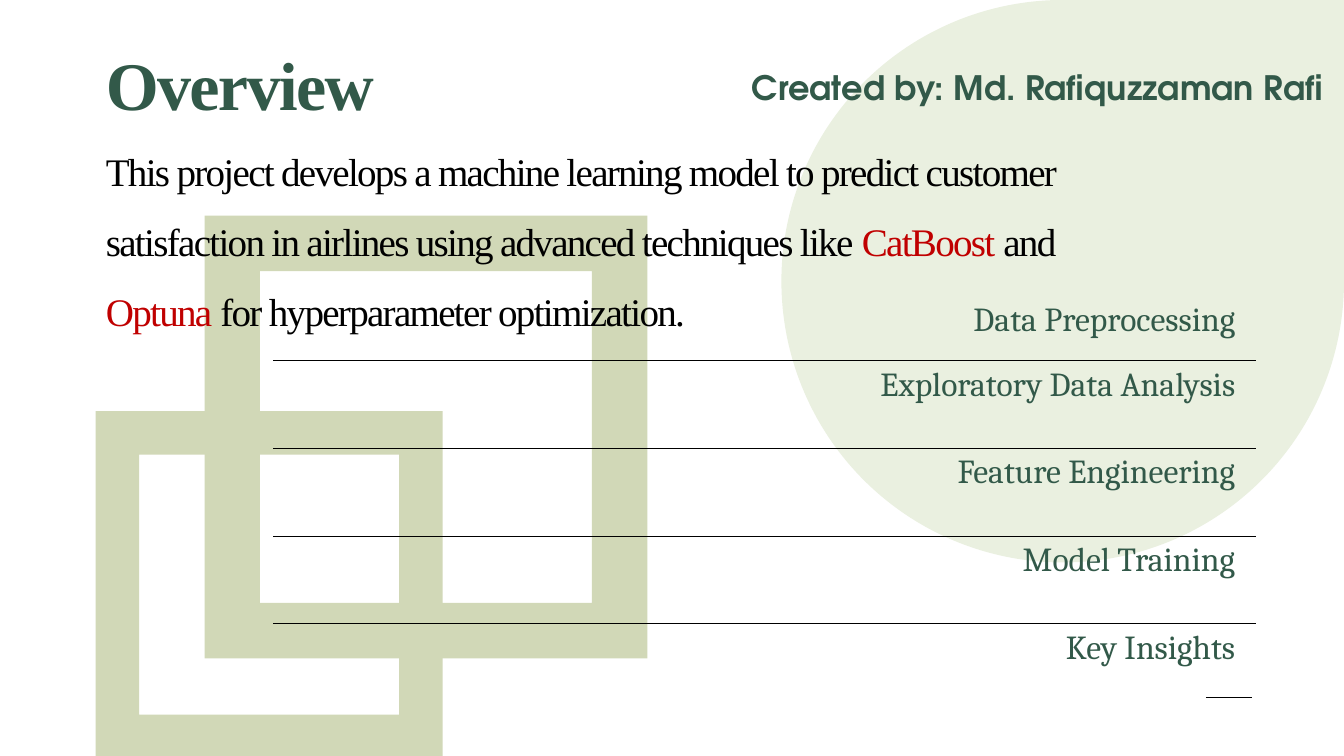
from typing import NamedTuple

from lxml.etree import SubElement
from pptx import Presentation
from pptx.dml.color import RGBColor
from pptx.enum.shapes import MSO_CONNECTOR, MSO_SHAPE
from pptx.enum.text import MSO_ANCHOR, MSO_AUTO_SIZE, PP_ALIGN
from pptx.oxml import parse_xml
from pptx.oxml.ns import nsdecls, qn
from pptx.util import Inches, Pt

GREEN = RGBColor(0x32, 0x59, 0x49)
OLIVE = RGBColor(0xD1, 0xD8, 0xB7)
PALE = RGBColor(0xEA, 0xF0, 0xE0)
RED = RGBColor(0xC0, 0x00, 0x00)
BLACK = RGBColor(0x00, 0x00, 0x00)
NO_GRID = "{2D5ABB26-0587-4C30-8999-92F81FD0307C}"


class Decor(NamedTuple):
    kind: MSO_SHAPE
    left: float
    top: float
    size: float
    color: RGBColor


class Span(NamedTuple):
    text: str
    color: RGBColor
    size: float = 27.9
    bold: bool = False


DECOR = [
    Decor(MSO_SHAPE.FRAME, 0.95, 4.08, 3.44, OLIVE),
    Decor(MSO_SHAPE.FRAME, 2.03, 2.14, 4.39, OLIVE),
    Decor(MSO_SHAPE.TEAR, 7.75, 0, 5.58, PALE),
]
HEAD = Span("Overview", GREEN, 48.6, True)
INTRO = [
    Span("This project develops a machine learning model to predict customer "
         "satisfaction in airlines using advanced techniques like ", BLACK),
    Span("CatBoost", RED),
    Span(" and ", BLACK),
    Span("Optuna", RED),
    Span(" for hyperparameter optimization.", BLACK),
]
TOPICS = ["Data Preprocessing", "Exploratory Data Analysis",
          "Feature Engineering", "Model Training", "Key Insights"]


def add_decor(slide, item: Decor) -> None:
    shape = slide.shapes.add_shape(item.kind, Inches(item.left), Inches(item.top),
                                   Inches(item.size), Inches(item.size))
    shape.shadow.inherit = False
    shape.fill.solid()
    shape.fill.fore_color.rgb = item.color
    shape.line.fill.background()


def add_rule(slide) -> None:
    rule = slide.shapes.add_connector(MSO_CONNECTOR.STRAIGHT, Inches(11.96),
                                      Inches(6.92), Inches(12.42), Inches(6.92))
    rule.line.color.rgb = BLACK
    rule.line.width = Pt(1.25)
    SubElement(rule._element.spPr, qn("a:effectLst"))


def add_span(para, span: Span) -> None:
    run = para.add_run()
    run.text = span.text
    run.font.name = "Times New Roman"
    run.font.size = Pt(span.size)
    run.font.bold = span.bold
    run.font.color.rgb = span.color
    run._r.get_or_add_rPr().set("spc", "-120")


def fill_title(slide) -> None:
    title = slide.shapes.title
    title.left, title.top = Inches(0.95), Inches(0.73)
    title.width, title.height = Inches(9.75), Inches(1.87)
    slide.shapes._spTree.append(title._element)  # bring above the decor
    frame = title.text_frame
    frame.word_wrap = True
    frame.auto_size = MSO_AUTO_SIZE.NONE
    frame.vertical_anchor = MSO_ANCHOR.MIDDLE
    para = frame.paragraphs[0]
    para.alignment = PP_ALIGN.LEFT
    para.line_spacing = 1.5
    add_span(para, HEAD)
    para.add_line_break()
    for span in INTRO:
        add_span(para, span)


def add_border(cell) -> None:
    line = parse_xml(f'<a:lnB {nsdecls("a")} w="9525"><a:solidFill>'
                     f'<a:srgbClr val="{BLACK}"/></a:solidFill></a:lnB>')
    cell._tc.get_or_add_tcPr().insert(0, line)


def add_topics(slide) -> None:
    heights = [0.64] + [0.87] * (len(TOPICS) - 1)
    table = slide.shapes.add_table(len(TOPICS), 1, Inches(2.71), Inches(2.94),
                                   Inches(9.75), Inches(sum(heights))).table
    table.first_row = table.horz_banding = False
    table._tbl.tblPr.find(qn("a:tableStyleId")).text = NO_GRID
    for i, (topic, height) in enumerate(zip(TOPICS, heights)):
        table.rows[i].height = Inches(height)
        cell = table.cell(i, 0)
        cell.fill.background()
        cell.margin_left = cell.margin_right = Inches(0.21)
        cell.vertical_anchor = MSO_ANCHOR.TOP
        cell.text = topic
        para = cell.text_frame.paragraphs[0]
        para.alignment = PP_ALIGN.RIGHT
        para.font.name = "Cambria"
        para.font.size = Pt(24)
        para.font.color.rgb = GREEN
        if i < len(TOPICS) - 1:
            add_border(cell)


def add_credit(slide) -> None:
    box = slide.shapes.add_textbox(Inches(7.36), Inches(0.61), Inches(6.1), Inches(0.5))
    frame = box.text_frame
    frame.word_wrap = True
    frame.text = "Created by: Md. Rafiquzzaman Rafi"
    font = frame.paragraphs[0].font
    font.name = "TeX Gyre Adventor"
    font.size = Pt(24)
    font.bold = True
    font.color.rgb = GREEN


def main() -> None:
    deck = Presentation()
    deck.slide_width, deck.slide_height = Inches(13.33), Inches(7.5)
    slide = deck.slides.add_slide(deck.slide_layouts[5])

    # Backdrop
    add_rule(slide)
    for item in DECOR:
        add_decor(slide, item)

    # Content
    fill_title(slide)
    add_topics(slide)
    add_credit(slide)
    deck.save("out.pptx")


if __name__ == "__main__":
    main()
